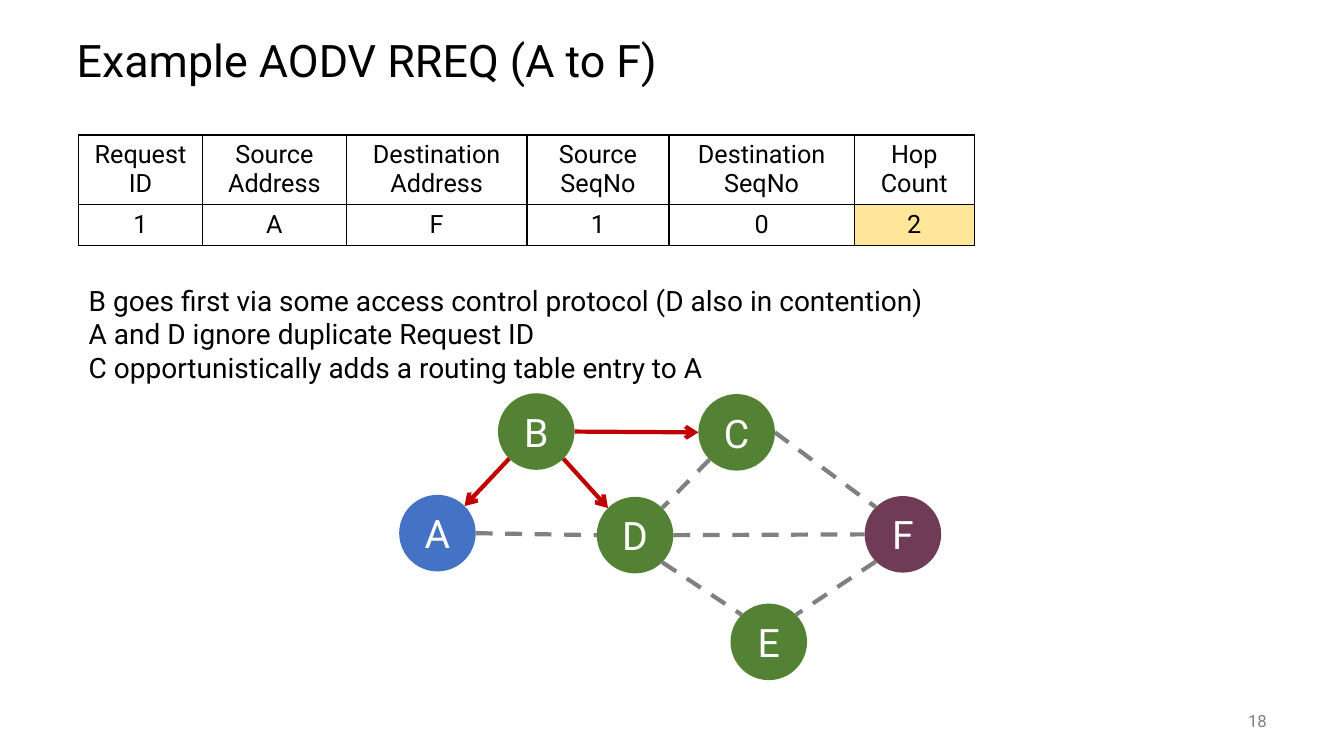
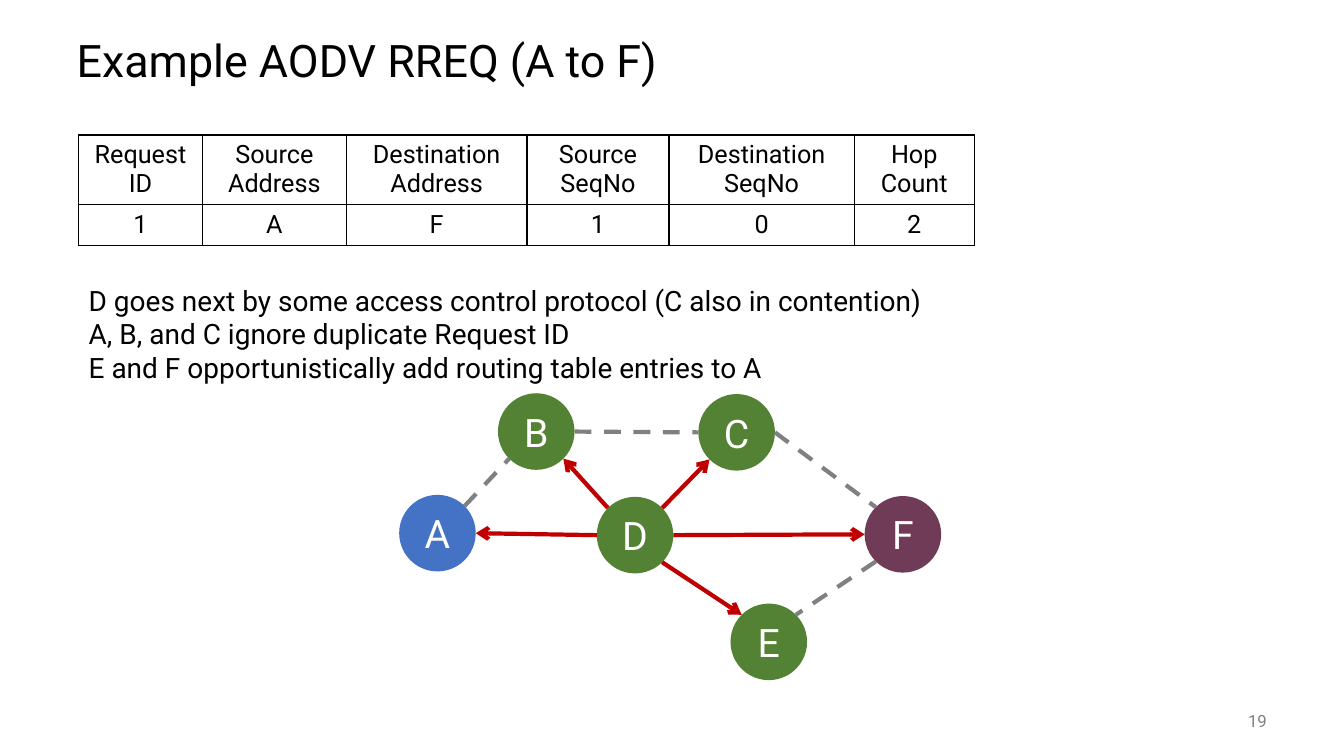
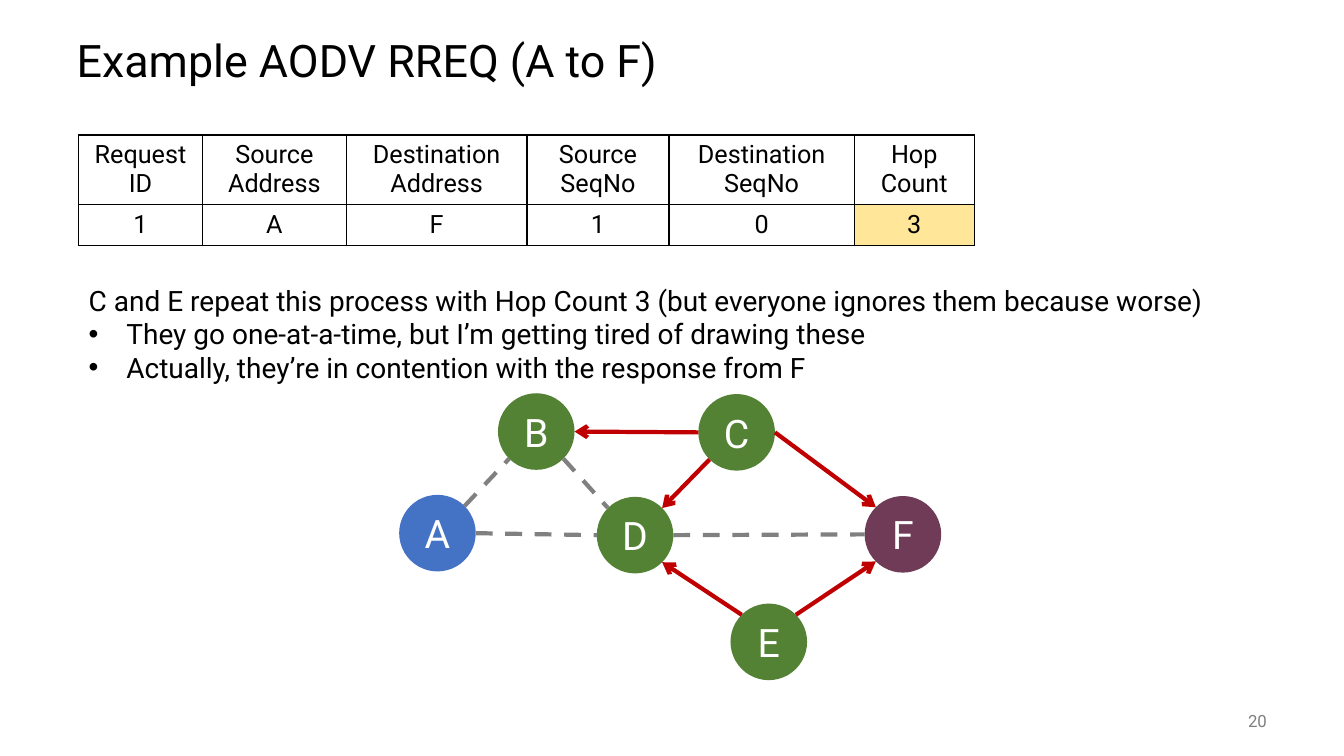
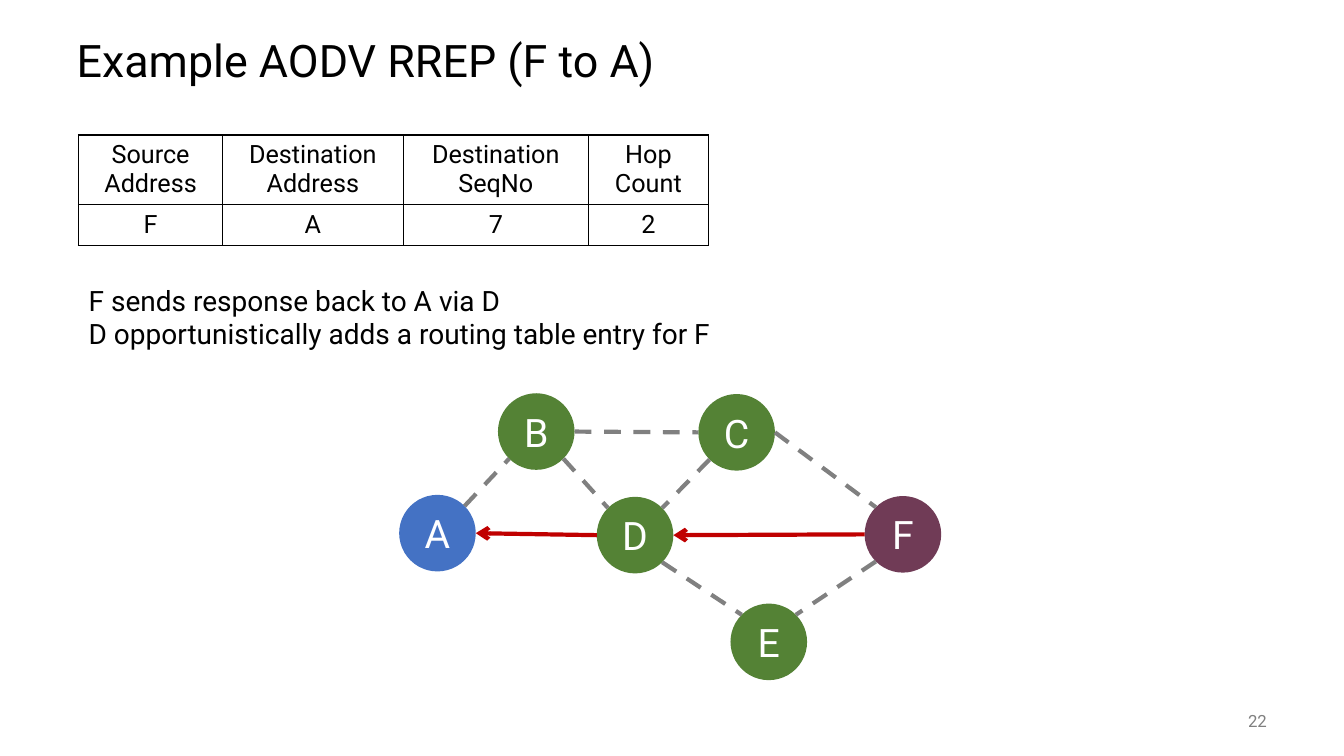
"""Build four slides that step through AODV route discovery."""
from math import cos, radians, sin

from pptx import Presentation
from pptx.dml.color import RGBColor as RGB
from pptx.enum.dml import MSO_LINE as DASH
from pptx.enum.shapes import MSO_CONNECTOR as CONN, MSO_SHAPE as SHAPE
from pptx.enum.text import MSO_ANCHOR as ANCHOR, MSO_AUTO_SIZE as FIT, PP_ALIGN as ALIGN
from pptx.oxml.ns import qn
from pptx.oxml.xmlchemy import OxmlElement as Elm
from pptx.util import Cm, Pt

FONT = "Roboto"
C = {
    "text": "000000", "white": "FFFFFF", "grey": "808080", "hop": "C00000",
    "source": "4472C4", "relay": "548235", "target": "703B56", "mark": "FFE699",
}

TITLE_BOX = (1.68, 0.64, 30.48, 1.9)
BODY_BOX = (1.98, 7.01, 28.91, 2.82)
NUMBER_BOX = (29.64, 17.65, 2.54, 1.02)
TABLE_AT = (1.98, 3.4)
GRAPH_AT = (10.06, 9.91)

ROW_HEIGHTS = (1.75, 1.04)
COL_WIDTHS = {
    "Request ID": 3.12, "Source Address": 3.63, "Destination Address": 4.55,
    "Source SeqNo": 3.58, "Destination SeqNo": 4.67, "Hop Count": 3.02,
}
RREQ = tuple(COL_WIDTHS)
RREP = ("Source Address", "Destination Address", "Destination SeqNo", "Hop Count")

NODE_SIZE = 1.93
NODES = {
    "A": (0, 2.56, "source"), "B": (2.49, 0, "relay"), "C": (7.54, 0.02, "relay"),
    "D": (4.98, 2.61, "relay"), "E": (8.35, 5.3, "relay"), "F": (11.73, 2.59, "target"),
}
EDGES = [
    ("A", 45, "B", 225), ("B", 0, "C", 180), ("B", 315, "D", 135),
    ("C", 225, "D", 45), ("C", 0, "F", 135), ("D", 0, "F", 180),
    ("D", 315, "E", 135), ("F", 225, "E", 45), ("A", 0, "D", 180),
]

SLIDES = [
    {
        "title": "Example AODV RREQ (A to F)", "number": 18,
        "heads": RREQ, "values": "1AF102", "marked": True,
        "lines": ["B goes first via some access control protocol (D also in contention)",
                  "A and D ignore duplicate Request ID",
                  "C opportunistically adds a routing table entry to A"],
        "bullets": [], "hops": ["BA", "BC", "BD"],
    },
    {
        "title": "Example AODV RREQ (A to F)", "number": 19,
        "heads": RREQ, "values": "1AF102", "marked": False,
        "lines": ["D goes next by some access control protocol (C also in contention)",
                  "A, B, and C ignore duplicate Request ID",
                  "E and F opportunistically add routing table entries to A"],
        "bullets": [], "hops": ["DA", "DB", "DC", "DE", "DF"],
    },
    {
        "title": "Example AODV RREQ (A to F)", "number": 20,
        "heads": RREQ, "values": "1AF103", "marked": True,
        "lines": ["C and E repeat this process with Hop Count 3 "
                  "(but everyone ignores them because worse)"],
        "bullets": ["They go one-at-a-time, but I’m getting tired of drawing these",
                    "Actually, they’re in contention with the response from F"],
        "hops": ["CB", "CD", "CF", "ED", "EF"],
    },
    {
        "title": "Example AODV RREP (F to A)", "number": 22,
        "heads": RREP, "values": "FA72", "marked": False,
        "lines": ["F sends response back to A via D",
                  "D opportunistically adds a routing table entry for F"],
        "bullets": [], "hops": ["FD", "DA"],
    },
]


def rgb(name):
    """Return a palette colour."""
    return RGB.from_string(C[name])


def write(p, text, size, color="text", align=ALIGN.LEFT):
    """Add one formatted run to a paragraph."""
    p.alignment = align
    r = p.add_run()
    r.text = text
    r.font.name, r.font.size = FONT, Pt(size)
    r.font.color.rgb = rgb(color)


def place(sp, box, anchor):
    """Move a text shape into a box and return its text frame."""
    sp.left, sp.top, sp.width, sp.height = map(Cm, box)
    tf = sp.text_frame
    tf.word_wrap, tf.auto_size, tf.vertical_anchor = True, FIT.NONE, anchor
    return tf


def add_title(s, box, text):
    """Fill the title placeholder."""
    p = place(s.shapes.title, box, ANCHOR.MIDDLE).paragraphs[0]
    p.line_spacing = 0.9
    write(p, text, 32)


def add_number(s, box, number):
    """Write the slide number."""
    tf = place(s.shapes.add_textbox(0, 0, 0, 0), box, ANCHOR.MIDDLE)
    write(tf.paragraphs[0], str(number), 12, "grey", ALIGN.RIGHT)


def set_bullet(p, char):
    """Give a paragraph a hanging bullet, or none."""
    pr = p._p.get_or_add_pPr()
    indent = Cm(0.95) if char else 0
    pr.set("marL", str(indent))
    pr.set("indent", str(-indent))
    if char:
        font = Elm("a:buFont")
        font.set("typeface", "Arial")
        pr.append(font)
    bullet = Elm("a:buChar" if char else "a:buNone")
    if char:
        bullet.set("char", char)
    pr.append(bullet)


def add_body(s, box, lines, bullets):
    """Fill the body placeholder with plain lines, then bullets."""
    tf = place(s.placeholders[1], box, ANCHOR.TOP)
    items = [(text, None) for text in lines] + [(text, "•") for text in bullets]
    for i, (text, char) in enumerate(items):
        p = tf.add_paragraph() if i else tf.paragraphs[0]
        set_bullet(p, char)
        p.space_before = Pt(0)
        write(p, text, 20)


def add_borders(cell):
    """Draw a thin line on every side of a cell."""
    pr = cell._tc.get_or_add_tcPr()
    for side in ("L", "R", "T", "B"):
        ln, fill, color = Elm("a:ln" + side), Elm("a:solidFill"), Elm("a:srgbClr")
        ln.set("w", str(Pt(1)))
        color.set("val", C["text"])
        fill.append(color)
        ln.append(fill)
        pr.append(ln)


def add_packet(s, at, heads, values, marked):
    """Draw the packet fields as a table, marking the last value if asked."""
    widths = [COL_WIDTHS[head] for head in heads]
    size = (sum(widths), sum(ROW_HEIGHTS))
    tbl = s.shapes.add_table(2, len(heads), *map(Cm, at + size)).table
    tbl.first_row = tbl.horz_banding = False
    for col, width in zip(tbl.columns, widths):
        col.width = Cm(width)
    for i, (height, row) in enumerate(zip(ROW_HEIGHTS, (heads, values))):
        tbl.rows[i].height = Cm(height)
        for j, text in enumerate(row):
            cell = tbl.cell(i, j)
            cell.vertical_anchor = ANCHOR.MIDDLE
            add_borders(cell)
            if marked and i == 1 and j == len(heads) - 1:
                cell.fill.solid()
                cell.fill.fore_color.rgb = rgb("mark")
            else:
                cell.fill.background()
            write(cell.text_frame.paragraphs[0], text, 18, align=ALIGN.CENTER)


def add_node(s, at, name):
    """Draw one network node."""
    x, y, color = NODES[name]
    sp = s.shapes.add_shape(SHAPE.OVAL, Cm(at[0] + x), Cm(at[1] + y),
                            Cm(NODE_SIZE), Cm(NODE_SIZE))
    sp.shadow.inherit = False
    sp.fill.solid()
    sp.fill.fore_color.rgb = rgb(color)
    sp.line.fill.background()
    tf = sp.text_frame
    tf.vertical_anchor = ANCHOR.MIDDLE
    write(tf.paragraphs[0], name, 28, "white", ALIGN.CENTER)


def rim_point(at, name, angle):
    """Return the point on a node's rim at an angle in degrees."""
    x, y, _ = NODES[name]
    r, a = NODE_SIZE / 2, radians(angle)
    return Cm(at[0] + x + r + r * cos(a)), Cm(at[1] + y + r - r * sin(a))


def add_link(s, start, end, is_hop):
    """Draw a dashed link, or an arrow for a hop."""
    con = s.shapes.add_connector(CONN.STRAIGHT, *start, *end)
    con.line.width = Pt(3)
    con.line.color.rgb = rgb("hop" if is_hop else "grey")
    sp_pr = con.element.spPr
    if is_hop:
        tail = Elm("a:tailEnd")
        tail.set("type", "arrow")
        sp_pr.find(qn("a:ln")).append(tail)
    else:
        con.line.dash_style = DASH.DASH
    sp_pr.append(Elm("a:effectLst"))


def add_graph(s, at, hops):
    """Draw the network with the current hops as arrows."""
    for name in NODES:
        add_node(s, at, name)
    for a, a_angle, b, b_angle in EDGES:
        start, end = rim_point(at, a, a_angle), rim_point(at, b, b_angle)
        if b + a in hops:
            start, end = end, start
        add_link(s, start, end, a + b in hops or b + a in hops)


def add_step(prs, step):
    """Build one step of the route discovery."""
    s = prs.slides.add_slide(prs.slide_layouts[1])
    add_title(s, TITLE_BOX, step["title"])
    add_number(s, NUMBER_BOX, step["number"])
    add_graph(s, GRAPH_AT, step["hops"])
    add_packet(s, TABLE_AT, step["heads"], step["values"], step["marked"])
    add_body(s, BODY_BOX, step["lines"], step["bullets"])


def main():
    """Build and save the deck."""
    prs = Presentation()
    prs.slide_width, prs.slide_height = Cm(33.87), Cm(19.05)
    for step in SLIDES:
        add_step(prs, step)
    prs.save("out.pptx")


if __name__ == "__main__":
    main()
